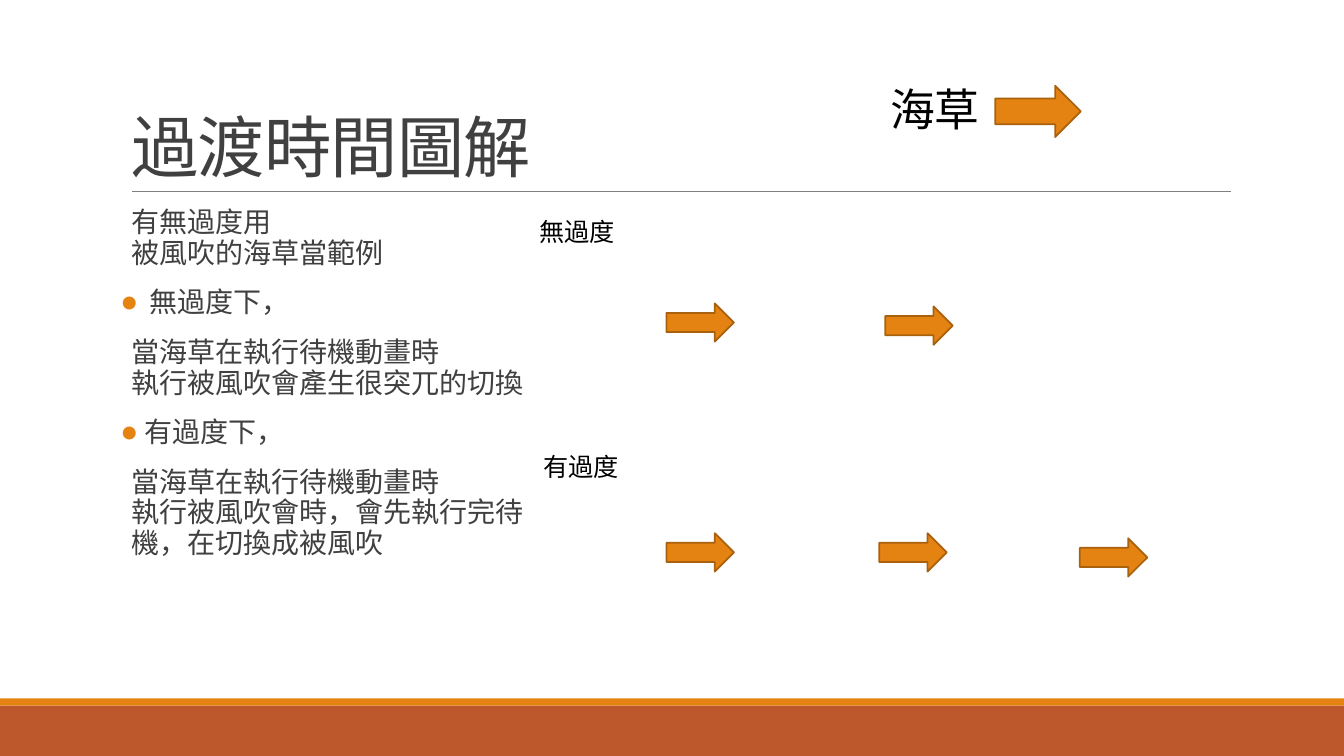
from dataclasses import dataclass

from lxml import etree
from pptx import Presentation
from pptx.dml.color import RGBColor
from pptx.enum.shapes import MSO_CONNECTOR, MSO_SHAPE
from pptx.enum.text import MSO_ANCHOR, MSO_AUTO_SIZE, PP_ALIGN
from pptx.oxml.ns import qn
from pptx.util import Inches, Pt

RECTANGLE = MSO_SHAPE.RECTANGLE
RIGHT_ARROW = MSO_SHAPE.RIGHT_ARROW
STRAIGHT = MSO_CONNECTOR.STRAIGHT
BOTTOM = MSO_ANCHOR.BOTTOM
TOP = MSO_ANCHOR.TOP
NO_FIT = MSO_AUTO_SIZE.NONE
LEFT = PP_ALIGN.LEFT

WIDTH, HEIGHT = 13.33, 7.5
BAND_TOP, STRIPE = 7, 0.07
ARROW_SIZE = (0.67, 0.38)
TEXT_INDENT = 0.1

NOTES = [
    ("有無過度用\n被風吹的海草當範例", None),
    ("無過度下，", 0.28),
    ("當海草在執行待機動畫時\n執行被風吹會產生很突兀的切換", None),
    ("有過度下，", 0.23),
    ("當海草在執行待機動畫時\n執行被風吹會時，會先執行完待機，在切換成被風吹", None),
]


@dataclass(frozen=True)
class Theme:
    """Colours and type sizes of the deck."""

    font: str = "Calibri"
    orange: str = "E48312"
    rust: str = "BD582C"
    outline: str = "A9610D"
    rule: str = "808080"
    grey: str = "404040"
    black: str = "000000"
    title: int = 48
    legend: int = 32
    body: int = 20
    label: int = 18


THEME = Theme()


def colour(code):
    """Return a colour from its hexadecimal code."""
    return RGBColor.from_string(code)


def inches(*lengths):
    """Turn plain numbers into slide lengths."""
    return [Inches(length) for length in lengths]


def style(para, size, code):
    """Set the font of a whole paragraph."""
    para.font.name = THEME.font
    para.font.size = Pt(size)
    para.font.color.rgb = colour(code)


def place(shape, box):
    """Move a placeholder to a box."""
    shape.left, shape.top, shape.width, shape.height = inches(*box)


def add_filled(page, kind, box, fill, outline=None):
    """Draw a preset shape with a plain fill and an optional outline."""
    shape = page.shapes.add_shape(kind, *inches(*box))
    shape.shadow.inherit = False
    shape.fill.solid()
    shape.fill.fore_color.rgb = colour(fill)
    if outline:
        shape.line.color.rgb = colour(outline)
        shape.line.width = Pt(1.25)
    else:
        shape.line.fill.background()


def add_arrow(page, left, top, size=ARROW_SIZE):
    """Draw one seaweed arrow."""
    add_filled(page, RIGHT_ARROW, (left, top, *size), THEME.orange, THEME.outline)


def add_label(page, text, box, size):
    """Write a one-line label."""
    frame = page.shapes.add_textbox(*inches(*box)).text_frame
    frame.word_wrap = True
    para = frame.paragraphs[0]
    para.text = text
    style(para, size, THEME.black)


def set_bullet(para, indent):
    """Give a paragraph a hanging bullet, or none when no indent is given."""
    props = para._p.get_or_add_pPr()
    props.set("marL", str(Inches(indent or TEXT_INDENT)))
    props.set("indent", str(-Inches(indent or 0)))
    if indent is None:
        etree.SubElement(props, qn("a:buNone"))
        return
    tint = etree.SubElement(props, qn("a:buClr"))
    etree.SubElement(tint, qn("a:srgbClr"), val=THEME.orange)
    etree.SubElement(props, qn("a:buFont"), typeface=THEME.font)
    etree.SubElement(props, qn("a:buChar"), char="●")


def add_frame(page):
    """Draw the footer bands and the rule under the title."""
    add_filled(page, RECTANGLE, (0, BAND_TOP, WIDTH, HEIGHT - BAND_TOP), THEME.rust)
    add_filled(page, RECTANGLE, (0, BAND_TOP - STRIPE, WIDTH, STRIPE), THEME.orange)
    rule = page.shapes.add_connector(STRAIGHT, *inches(1.31, 1.9, 12.21, 1.9))
    rule.line.color.rgb = colour(THEME.rule)
    rule.line.width = Pt(0.5)
    etree.SubElement(rule._element.spPr, qn("a:effectLst"))


def fill_title(page, box):
    """Write the slide title."""
    title = page.shapes.title
    place(title, box)
    frame = title.text_frame
    frame.auto_size = NO_FIT
    frame.vertical_anchor = BOTTOM
    para = frame.paragraphs[0]
    para.text = "過渡時間圖解"
    para.alignment = LEFT
    para.line_spacing = 0.85
    style(para, THEME.title, THEME.grey)
    para._p.pPr.find(qn("a:defRPr")).set("spc", "-50")


def fill_notes(page, box):
    """Write the explanation list."""
    body = page.placeholders[1]
    place(body, box)
    frame = body.text_frame
    frame.auto_size = NO_FIT
    frame.vertical_anchor = TOP
    frame.margin_left = frame.margin_right = 0
    for index, (text, indent) in enumerate(NOTES):
        para = frame.add_paragraph() if index else frame.paragraphs[0]
        para.text = text
        para.line_spacing = 0.9
        para.space_before = Pt(12 if index else 0)
        para.space_after = Pt(2)
        set_bullet(para, indent)
        style(para, THEME.body, THEME.grey)


def add_legend(page, left, top):
    """Draw the key that names the arrow."""
    add_label(page, "海草", (left, top, 1.5, 0.64), THEME.legend)
    add_arrow(page, left + 1.14, top + 0.09, (0.85, 0.51))


def add_sequence(page, left, top, text, arrows):
    """Draw a labelled row of arrows at offsets from its corner."""
    add_label(page, text, (left, top, 3.76, 0.4), THEME.label)
    for across, down in arrows:
        add_arrow(page, left + across, top + down)


def main():
    """Build and save the deck."""
    deck = Presentation()
    deck.slide_width, deck.slide_height = inches(WIDTH, HEIGHT)
    page = deck.slides.add_slide(deck.slide_layouts[1])
    add_frame(page)
    fill_title(page, (1.2, 0.31, 11, 1.59))
    fill_notes(page, (1.2, 2.02, 4.04, 4.4))
    add_sequence(page, 5.25, 2.1, "無過度", [(1.36, 0.91), (3.53, 0.94)])
    add_sequence(page, 5.29, 4.43, "有過度", [(1.32, 0.86), (3.43, 0.86), (5.42, 0.91)])
    add_legend(page, 8.73, 0.76)
    deck.save("out.pptx")


if __name__ == "__main__":
    main()
